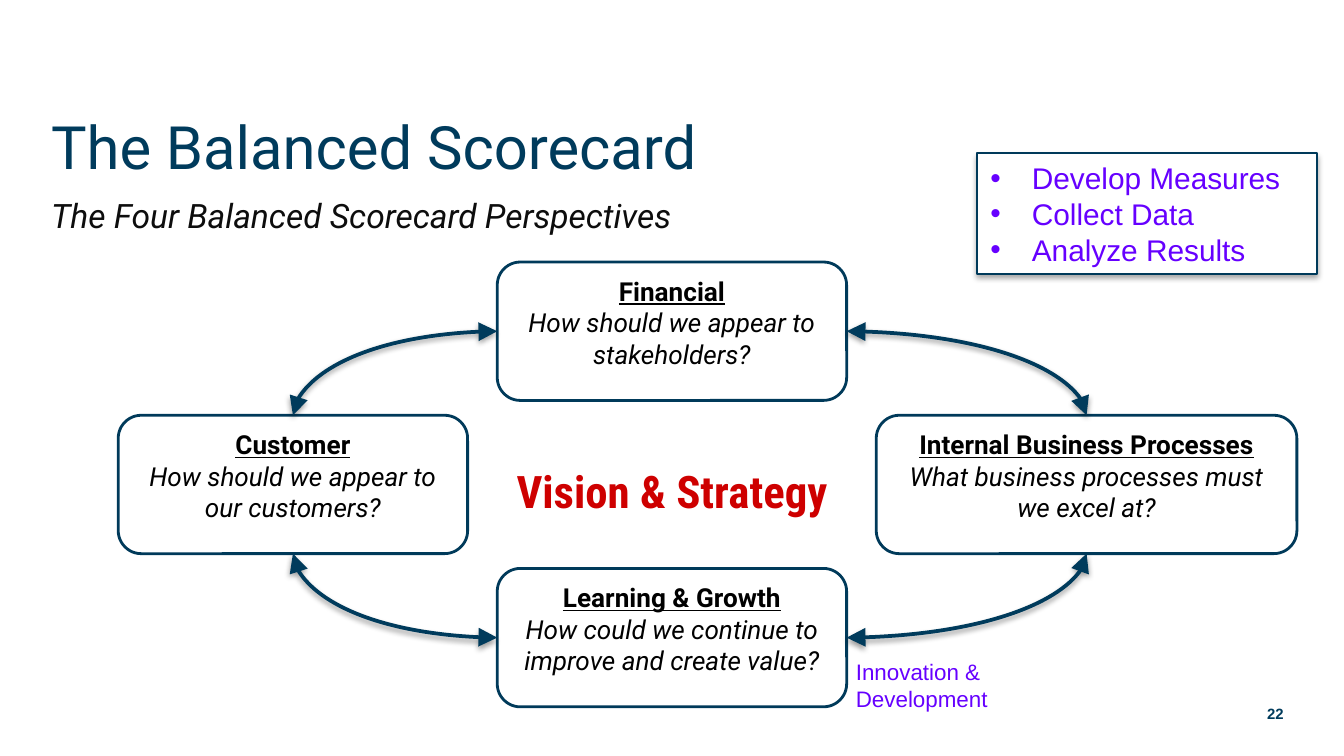
"""Build the balanced scorecard slide."""
from dataclasses import dataclass

from lxml.etree import SubElement
from pptx import Presentation
from pptx.dml.color import RGBColor
from pptx.enum.shapes import MSO_CONNECTOR, MSO_SHAPE
from pptx.enum.text import MSO_ANCHOR as ANCHOR, MSO_AUTO_SIZE as AUTO, PP_ALIGN as ALIGN
from pptx.oxml import parse_xml
from pptx.oxml.ns import nsdecls, qn
from pptx.util import Inches, Pt

NAVY, EDGE, PURPLE = "003B5C", "003A5A", "6600FF"
TOP, LEFT, BOTTOM, RIGHT = range(4)


@dataclass
class Perspective:
    name: str
    question: str
    x: float
    y: float
    w: float = 2.6
    h: float = 1.03


@dataclass
class Link:
    start: str
    start_site: int
    end: str
    end_site: int


PERSPECTIVES = [
    Perspective("Financial", "How should we appear to stakeholders?", 3.7, 1.95),
    Perspective("Learning & Growth", "How could we continue to improve and create value?", 3.7, 4.23),
    Perspective("Internal Business Processes", "What business processes must we excel at?", 6.52, 3.09, 3.13),
    Perspective("Customer", "How should we appear to our customers?", 0.88, 3.09),
]
LINKS = [
    Link(hub, hub_site, side, side_site)
    for hub, side_site in (("Financial", TOP), ("Learning & Growth", BOTTOM))
    for side, hub_site in (("Internal Business Processes", RIGHT), ("Customer", LEFT))
]
ACTIONS = ["Develop Measures", "Collect Data", "Analyze Results"]


def rgb(color: str) -> RGBColor:
    """Turn a hex string into a colour."""
    return RGBColor.from_string(color)


def write(p, text: str, size: float, color: str, font="Roboto", bold=False,
          italic=False, underline=False, align=ALIGN.LEFT) -> None:
    """Add one formatted run to a paragraph."""
    p.alignment = align
    r = p.add_run()
    r.text = text
    f = r.font
    f.name, f.size, f.bold, f.italic, f.underline = font, Pt(size), bold, italic, underline
    f.color.rgb = rgb(color)


def place(sp, x: float, y: float, w: float, h: float) -> None:
    """Move and size a shape."""
    sp.left, sp.top, sp.width, sp.height = map(Inches, (x, y, w, h))


def add_label(s, x: float, y: float, w: float, h: float, text: str, wrap=True,
              anchor=ANCHOR.TOP, auto=AUTO.NONE, **fmt) -> None:
    """Add a text box with one paragraph."""
    tf = s.shapes.add_textbox(*map(Inches, (x, y, w, h))).text_frame
    tf.word_wrap, tf.auto_size, tf.vertical_anchor = wrap, auto, anchor
    write(tf.paragraphs[0], text, **fmt)


def add_shadow(sp, distance: float, alpha: int) -> None:
    """Give a shape a soft shadow straight below it."""
    sp._element.spPr.append(parse_xml(
        f'<a:effectLst {nsdecls("a")}><a:outerShdw blurRad="{Pt(3.1)}" dist="{Pt(distance)}" '
        f'dir="5400000" rotWithShape="0"><a:srgbClr val="000000"><a:alpha val="{alpha * 1000}"/>'
        '</a:srgbClr></a:outerShdw></a:effectLst>'))


def add_perspective(s, box: Perspective):
    """Draw one rounded perspective box."""
    sp = s.shapes.add_shape(MSO_SHAPE.ROUNDED_RECTANGLE, *map(Inches, (box.x, box.y, box.w, box.h)))
    sp.shadow.inherit = False
    sp.fill.background()
    sp.line.color.rgb, sp.line.width = rgb(EDGE), Pt(1.5)
    tf = sp.text_frame
    tf.word_wrap, tf.vertical_anchor = True, ANCHOR.TOP
    write(tf.paragraphs[0], box.name, 14, "000000", bold=True, underline=True, align=ALIGN.CENTER)
    write(tf.add_paragraph(), box.question, 14, "000000", italic=True, align=ALIGN.CENTER)
    return sp


def add_link(s, link: Link, boxes: dict) -> None:
    """Join two boxes with a curved double arrow."""
    c = s.shapes.add_connector(MSO_CONNECTOR.CURVE, 0, 0, 0, 0)
    c.begin_connect(boxes[link.start], link.start_site)
    c.end_connect(boxes[link.end], link.end_site)
    c._element.spPr.find(qn("a:prstGeom")).set("prst", "curvedConnector2")
    c.line.color.rgb, c.line.width = rgb(NAVY), Pt(2)
    ln = c.line._get_or_add_ln()
    for end in ("a:headEnd", "a:tailEnd"):
        SubElement(ln, qn(end), type="triangle", w="lg", len="lg")
    add_shadow(c, 1.6, 38)


def add_actions(s) -> None:
    """Draw the bulleted action box."""
    sp = s.shapes.add_shape(MSO_SHAPE.RECTANGLE, *map(Inches, (7.27, 1.14, 2.53, 0.9)))
    sp.fill.solid()
    sp.fill.fore_color.rgb = rgb("FFFFFF")
    sp.line.color.rgb, sp.line.width = rgb(EDGE), Pt(0.75)
    add_shadow(sp, 1.8, 35)
    tf = sp.text_frame
    tf.word_wrap, tf.vertical_anchor = True, ANCHOR.MIDDLE
    for i, action in enumerate(ACTIONS):
        p = tf.add_paragraph() if i else tf.paragraphs[0]
        pPr = p._p.get_or_add_pPr()
        pPr.set("marL", str(Inches(0.31)))
        pPr.set("indent", str(Inches(-0.31)))
        SubElement(pPr, qn("a:buFont"), typeface="Arial")
        SubElement(pPr, qn("a:buChar"), char="•")
        write(p, action, 16, PURPLE, font="Arial")


def add_headings(s) -> None:
    """Fill the title and body placeholders."""
    title, body = s.shapes.title, s.placeholders[1]
    place(title, 0.28, 0.5, 9.37, 0.9)
    place(body, 0.28, 1.4, 9.37, 0.45)
    for sp, anchor in ((title, ANCHOR.BOTTOM), (body, ANCHOR.TOP)):
        sp.text_frame.auto_size, sp.text_frame.vertical_anchor = AUTO.NONE, anchor
    write(title.text_frame.paragraphs[0], "The Balanced Scorecard", 32, NAVY)
    p = body.text_frame.paragraphs[0]
    p.space_before = Pt(0)
    pPr = p._p.get_or_add_pPr()
    pPr.set("marL", "0")
    pPr.set("indent", "0")
    SubElement(pPr, qn("a:buNone"))
    write(p, "The Four Balanced Scorecard Perspectives", 18, "0D0D0D", italic=True)


def main() -> None:
    """Build and save the slide."""
    prs = Presentation()
    prs.slide_width, prs.slide_height = Inches(10), Inches(10 * 9 / 16)
    s = prs.slides.add_slide(prs.slide_layouts[1])
    add_headings(s)
    boxes = {box.name: add_perspective(s, box) for box in PERSPECTIVES}
    for link in LINKS:
        add_link(s, link, boxes)
    add_label(s, 3.73, 3.4, 2.54, 0.5, "Vision & Strategy", wrap=False, auto=AUTO.SHAPE_TO_FIT_TEXT,
              size=24, color="CE0000", font="Roboto Condensed", bold=True, align=ALIGN.CENTER)
    add_actions(s)
    add_label(s, 6.27, 4.85, 1.33, 0.5, "Innovation & Development", auto=AUTO.SHAPE_TO_FIT_TEXT,
              size=12, color=PURPLE, font="Arial")
    add_label(s, 7.5, 5.16, 2.15, 0.3, "22", anchor=ANCHOR.MIDDLE,
              size=8, color=NAVY, font="Arial", bold=True, align=ALIGN.RIGHT)
    prs.save("out.pptx")


if __name__ == "__main__":
    main()
